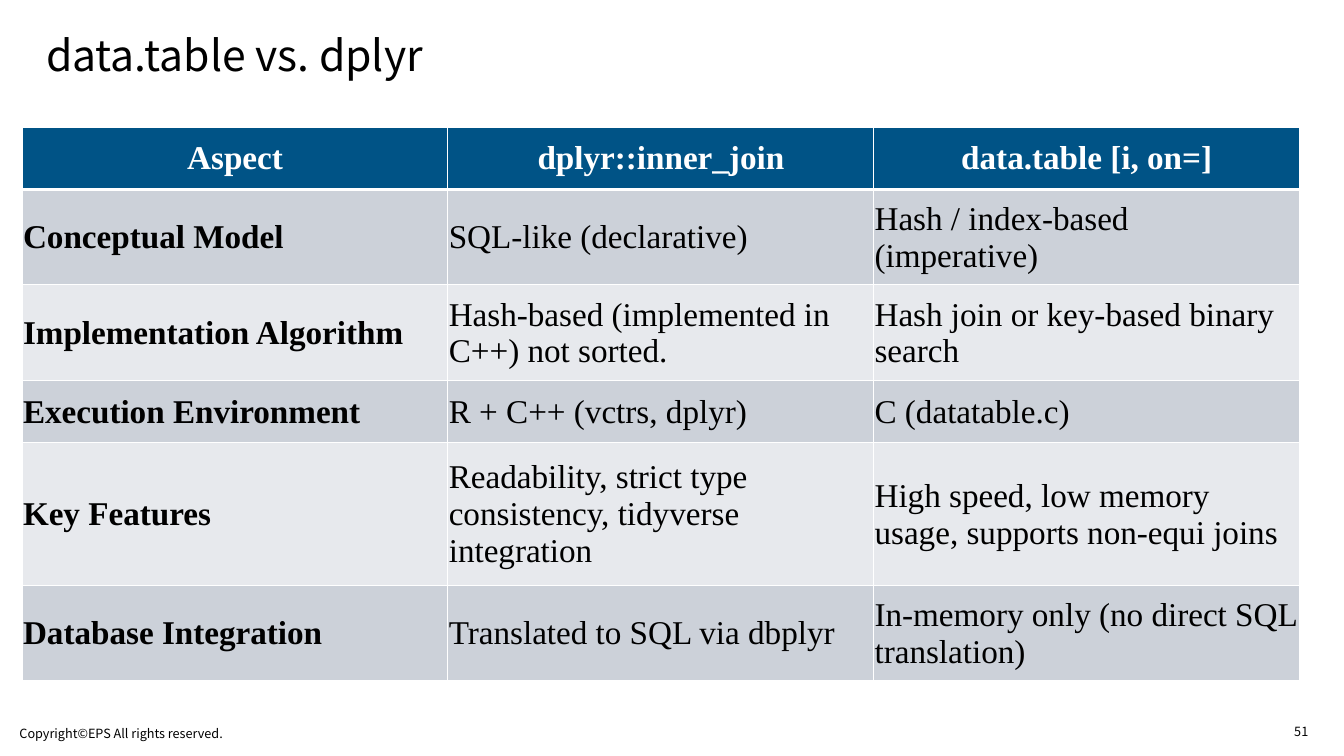
from dataclasses import dataclass

import pptx
import pptx.dml.color
import pptx.enum.text
import pptx.oxml
import pptx.oxml.ns
import pptx.util
from pptx.util import Inches

COLORS = {"white": "FFFFFF", "black": "000000", "header": "005386",
          "odd": "CCD1D9", "even": "E7E9ED"}
SANS, SERIF = "Noto Sans CJK JP", "Times New Roman"
ALIGN = pptx.enum.text.PP_ALIGN
ANCHOR = pptx.enum.text.MSO_ANCHOR

ROWS = [
    ("Aspect", "dplyr::inner_join", "data.table [i, on=]"),
    ("Conceptual Model", "SQL-like (declarative)", "Hash / index-based (imperative)"),
    ("Implementation Algorithm", "Hash-based (implemented in C++) not sorted.",
     "Hash join or key-based binary search"),
    ("Execution Environment", "R + C++ (vctrs, dplyr)", "C (datatable.c)"),
    ("Key Features", "Readability, strict type consistency, tidyverse integration",
     "High speed, low memory usage, supports non-equi joins"),
    ("Database Integration", "Translated to SQL via dbplyr",
     "In-memory only (no direct SQL translation)"),
]
ROW_HEIGHTS = [0.73, 1.12, 1.12, 0.73, 1.67, 1.12]
COL_WIDTH = 4.99
CELL_FORMAT = {"margin_left": Inches(0.01), "margin_right": Inches(0.01),
               "margin_top": Inches(0.01), "margin_bottom": 0,
               "vertical_anchor": ANCHOR.MIDDLE}


@dataclass
class Label:
    text: str
    left: float
    top: float
    width: float
    height: float
    size: float
    align: ALIGN = ALIGN.LEFT
    anchor: ANCHOR = ANCHOR.MIDDLE
    inset_x: float = 0.1
    inset_y: float = 0.05


LABELS = [
    Label("Copyright©EPS All rights reserved.", 0.13, 8.46, 7.88, 0.28, 10.7,
          anchor=ANCHOR.TOP),
    Label("51", 14.1, 8.49, 1.33, 0.17, 10.7, align=ALIGN.RIGHT),
    Label("data.table vs. dplyr", 0.54, 0.3, 14.67, 0.68, 36, inset_x=0, inset_y=0),
]


def rgb(name: str) -> pptx.dml.color.RGBColor:
    return pptx.dml.color.RGBColor.from_string(COLORS[name])


def write(tf, text: str, font: str, size: float, color: str, align: ALIGN,
          bold: bool = False) -> None:
    p = tf.paragraphs[0]
    p.alignment = align
    r = p.add_run()
    r.text = text
    for name, value in {"name": font, "size": pptx.util.Pt(size), "bold": bold}.items():
        setattr(r.font, name, value)
    r.font.color.rgb = rgb(color)


def add_label(s, label: Label) -> None:
    box = s.shapes.add_textbox(Inches(label.left), Inches(label.top),
                               Inches(label.width), Inches(label.height))
    tf = box.text_frame
    box_format = {"word_wrap": True, "vertical_anchor": label.anchor,
                  "margin_left": Inches(label.inset_x), "margin_right": Inches(label.inset_x),
                  "margin_top": Inches(label.inset_y), "margin_bottom": Inches(label.inset_y)}
    for name, value in box_format.items():
        setattr(tf, name, value)
    write(tf, label.text, SANS, label.size, "black", label.align)


def add_borders(cell, widths: dict[str, float]) -> None:
    props = cell._tc.get_or_add_tcPr()
    for side, width in widths.items():
        props.append(pptx.oxml.parse_xml(
            f'<a:ln{side} {pptx.oxml.ns.nsdecls("a")} w="{pptx.util.Pt(width)}">'
            f'<a:solidFill><a:srgbClr val="{COLORS["white"]}"/></a:solidFill></a:ln{side}>'))


def add_comparison(s) -> None:
    n_cols = len(ROWS[0])
    frame = s.shapes.add_table(len(ROWS), n_cols, Inches(0.26), Inches(1.49),
                               Inches(COL_WIDTH * n_cols), Inches(sum(ROW_HEIGHTS)))
    table = frame.table
    table.horz_banding = False
    table.first_row = False
    for col in table.columns:
        col.width = Inches(COL_WIDTH)
    for i, (texts, height) in enumerate(zip(ROWS, ROW_HEIGHTS)):
        table.rows[i].height = Inches(height)
        header = i == 0
        fill = "header" if header else "odd" if i % 2 else "even"
        for j, text in enumerate(texts):
            cell = table.cell(i, j)
            for name, value in CELL_FORMAT.items():
                setattr(cell, name, value)
            # The rule under the header is thicker than the others
            add_borders(cell, {"L": 1, "R": 1, "T": 3 if i == 1 else 1,
                               "B": 3 if header else 1})
            cell.fill.solid()
            cell.fill.fore_color.rgb = rgb(fill)
            write(cell.text_frame, text, SERIF, 28, "white" if header else "black",
                  ALIGN.CENTER if header else ALIGN.LEFT, bold=header or j == 0)


def main() -> None:
    prs = pptx.Presentation()
    prs.slide_width, prs.slide_height = Inches(15.75), Inches(8.86)
    s = prs.slides.add_slide(prs.slide_layouts[6])

    # Background
    s.background.fill.solid()
    s.background.fill.fore_color.rgb = rgb("white")

    # Comparison table
    add_comparison(s)

    # Title and footer
    for label in LABELS:
        add_label(s, label)

    prs.save("out.pptx")


if __name__ == "__main__":
    main()
